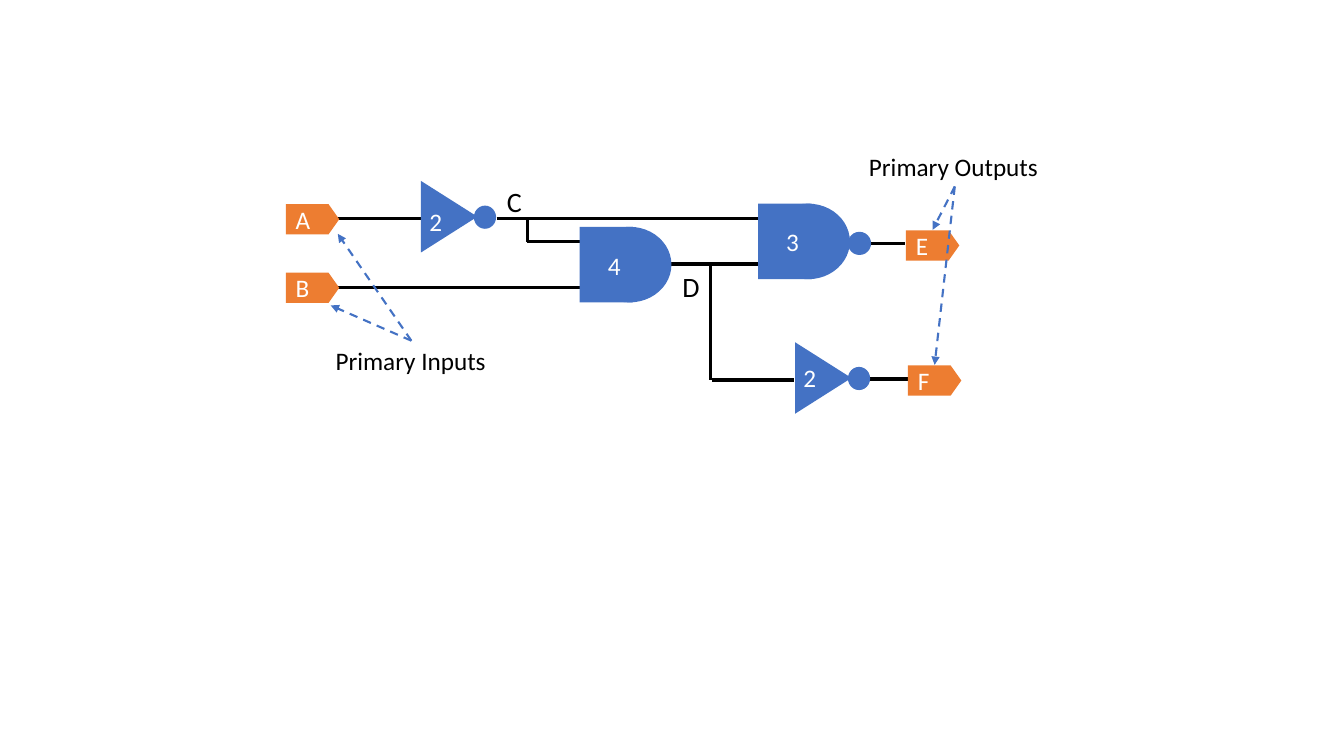
import pptx
import pptx.dml.color
import pptx.enum.dml
import pptx.enum.shapes
import pptx.enum.text
import pptx.oxml
import pptx.oxml.ns
import pptx.util

Inches = pptx.util.Inches
Shapes = pptx.enum.shapes.MSO_SHAPE
BLUE, ORANGE, BLACK, WHITE = "4472C4", "ED7D31", "000000", "FFFFFF"


def color(value):
    return pptx.dml.color.RGBColor.from_string(value)


def add_text(shape, text, size, text_color):
    shape.text_frame.word_wrap = False
    paragraph = shape.text_frame.paragraphs[0]
    run = paragraph.add_run()
    run.text = text
    run.font.name = "Calibri"
    run.font.size = pptx.util.Pt(size)
    run.font.color.rgb = color(text_color)
    return paragraph


def add_solid(slide, kind, left, top, width, height, fill=BLUE, rotation=0):
    shape = slide.shapes.add_shape(
        kind, Inches(left), Inches(top), Inches(width), Inches(height))
    shape.shadow.inherit = False
    shape.fill.solid()
    shape.fill.fore_color.rgb = color(fill)
    shape.line.fill.background()
    shape.rotation = rotation
    return shape


def add_label(slide, left, top, width, height, text, size=18, text_color=BLACK):
    label = slide.shapes.add_textbox(
        Inches(left), Inches(top), Inches(width), Inches(height))
    label.text_frame.auto_size = pptx.enum.text.MSO_AUTO_SIZE.SHAPE_TO_FIT_TEXT
    add_text(label, text, size, text_color)


def add_delay(slide, left, top, text):
    add_label(slide, left, top, 0.33, 0.4, text, text_color=WHITE)


def add_line(slide, start, end, line_color=BLACK, width=2.25):
    line = slide.shapes.add_connector(
        pptx.enum.shapes.MSO_CONNECTOR.STRAIGHT,
        *[Inches(value) for value in start + end])
    line.line.color.rgb = color(line_color)
    line.line.width = pptx.util.Pt(width)
    properties = line.element.spPr
    properties.append(pptx.oxml.parse_xml(
        "<a:effectLst %s/>" % pptx.oxml.ns.nsdecls("a")))
    return line


def add_pointer(slide, start, end):
    pointer = add_line(slide, start, end, BLUE, 1.5)
    pointer.line.dash_style = pptx.enum.dml.MSO_LINE.DASH
    outline = pointer.element.spPr.find(pptx.oxml.ns.qn("a:ln"))
    outline.append(pptx.oxml.parse_xml(
        '<a:tailEnd %s type="triangle"/>' % pptx.oxml.ns.nsdecls("a")))


def add_pin(slide, left, top, name):
    pin = add_solid(slide, Shapes.FLOWCHART_OFFPAGE_CONNECTOR,
                    left, top, 0.3, 0.53, ORANGE, 270)
    pin.text_frame.vertical_anchor = pptx.enum.text.MSO_ANCHOR.MIDDLE
    paragraph = add_text(pin, name, 18, WHITE)
    paragraph.alignment = pptx.enum.text.PP_ALIGN.CENTER
    pin.element.txBody.bodyPr.set("vert", "eaVert")


def add_gate(slide, left, top, delay):
    add_solid(slide, Shapes.RECTANGLE, left, top, 0.53, 0.75)
    add_solid(slide, Shapes.OVAL, left + 0.08, top, 0.83, 0.75)
    add_delay(slide, left + 0.18, top + 0.18, delay)


def add_nand_gate(slide, left, top, delay):
    add_gate(slide, left, top, delay)
    add_solid(slide, Shapes.OVAL, left + 0.89, top + 0.28, 0.23, 0.23)


def add_inverter(slide, left, top, delay, delay_offset):
    add_solid(slide, Shapes.OVAL, left + 0.6, top + 0.17, 0.22, 0.23)
    add_solid(slide, Shapes.ISOSCELES_TRIANGLE, left, top, 0.71, 0.56, rotation=90)
    add_delay(slide, left + 0.06, top + delay_offset, delay)


def add_wires(slide):
    upper, middle, lower, output = 2.17, 2.62, 2.85, 3.77
    for start, end in [
        ((3.35, upper), (4.18, upper)),
        ((3.35, lower), (5.75, lower)),
        ((4.93, upper), (7.18, upper)),
        ((5.23, 2.4), (5.75, 2.4)),
        ((5.23, 2.4), (5.23, upper)),
        ((6.65, middle), (7.18, middle)),
        ((7.15, upper), (7.52, upper)),
        ((7.15, middle), (7.52, middle)),
        ((8.61, 2.42), (8.98, 2.42)),
        ((7.06, output), (7.88, output)),
        ((8.63, 3.76), (9.01, 3.76)),
        ((7.05, output), (7.05, middle)),
    ]:
        add_line(slide, start, end)


def add_callout(slide, left, top, width, text, origin, targets):
    add_label(slide, left, top, width, 0.4, text)
    for target in targets:
        add_pointer(slide, origin, target)


def add_circuit(slide):
    add_wires(slide)
    add_gate(slide, 5.75, 2.25, "4")
    add_nand_gate(slide, 7.52, 2.02, "3")
    add_inverter(slide, 4.1, 1.87, "2", 0.13)
    add_inverter(slide, 7.81, 3.47, "2", 0.08)
    for left, top, name in [(2.95, 1.91, "A"), (2.95, 2.59, "B"),
                            (9.1, 2.17, "E"), (9.12, 3.51, "F")]:
        add_pin(slide, left, top, name)
    add_label(slide, 4.93, 1.78, 0.35, 0.44, "C", 20)
    add_label(slide, 6.67, 2.62, 0.37, 0.44, "D", 20)


def main():
    presentation = pptx.Presentation()
    presentation.slide_width = Inches(13.33)
    presentation.slide_height = Inches(7.5)
    slide = presentation.slides.add_slide(presentation.slide_layouts[6])
    add_circuit(slide)
    add_callout(slide, 3.23, 3.38, 1.71, "Primary Inputs",
                (4.08, 3.38), [(3.28, 3.03), (3.35, 2.32)])
    add_callout(slide, 8.52, 1.45, 1.89, "Primary Outputs",
                (9.47, 1.85), [(9.25, 2.28), (9.27, 3.62)])
    presentation.save("out.pptx")


if __name__ == "__main__":
    main()
